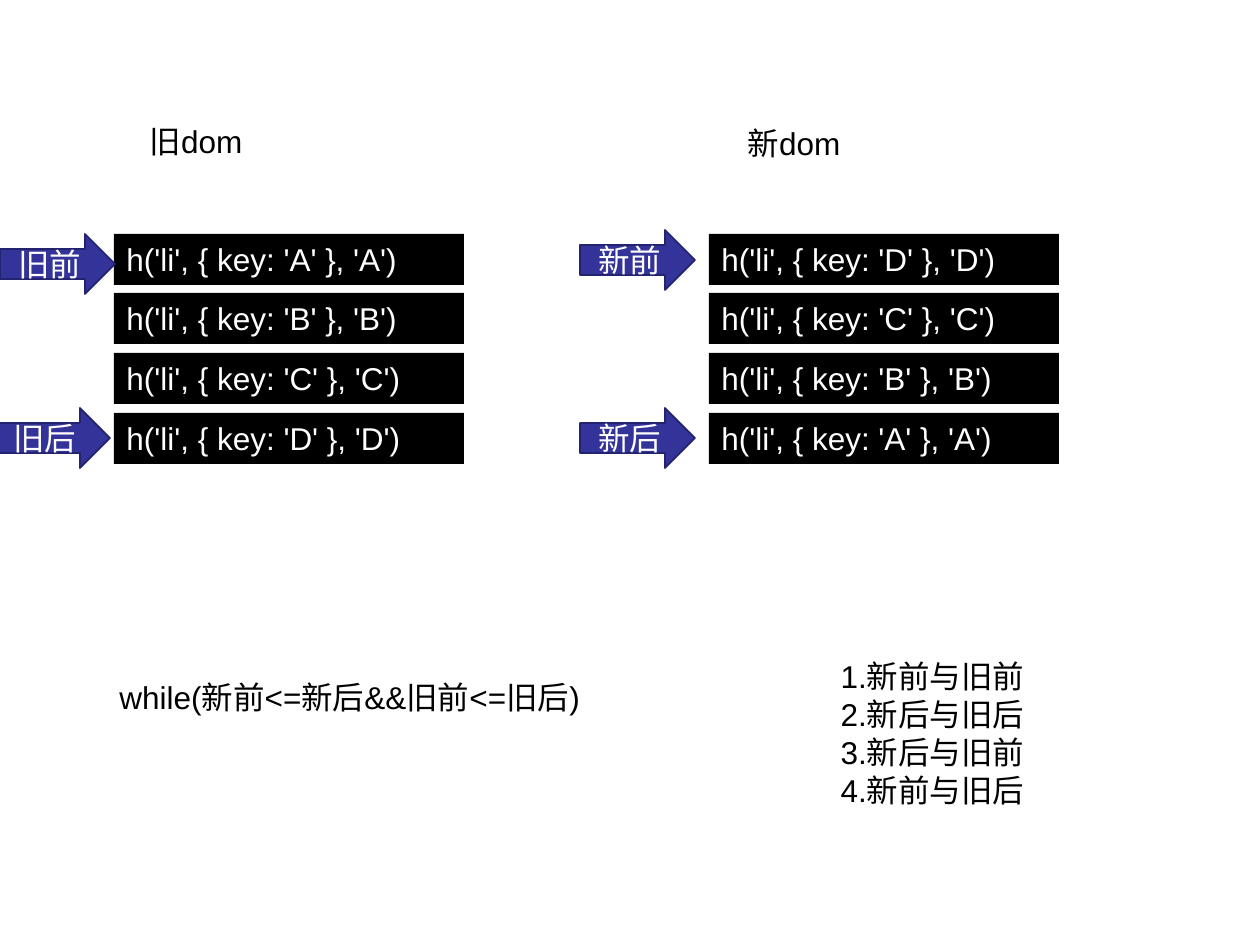
from dataclasses import dataclass

from pptx import Presentation
from pptx.dml.color import RGBColor as Color
from pptx.enum.shapes import MSO_SHAPE as Preset
from pptx.enum.text import MSO_ANCHOR as Anchor, MSO_AUTO_SIZE as Fit, PP_ALIGN as Align
from pptx.oxml.ns import qn
from pptx.util import Emu, Pt

SCALE = 914400 // 126


@dataclass(frozen=True)
class Theme:
    """Colours and type of the slide."""
    font: str = "Arial"
    size: Pt = Pt(18)
    line: Pt = Pt(1)
    ink: Color = Color(0, 0, 0)
    paper: Color = Color(255, 255, 255)
    arrow: Color = Color(0x33, 0x33, 0x99)
    edge: Color = Color(0x23, 0x23, 0x6F)


THEME = Theme()


def to_emu(*pixels):
    """Turn pixel lengths into EMU."""
    return [Emu(value * SCALE) for value in pixels]


def write(shape, lines, color, align=Align.LEFT, anchor=Anchor.TOP):
    """Fill a shape with plain unbulleted paragraphs."""
    frame = shape.text_frame
    frame.text = "\n".join(lines)
    frame.word_wrap = True
    frame.auto_size = Fit.NONE
    frame.vertical_anchor = anchor
    for para in frame.paragraphs:
        para.alignment = align
        para.space_before = Pt(0)
        para.font.name = THEME.font
        para.font.size = THEME.size
        para.font.bold = False
        para.font.color.rgb = color


def fill_placeholder(holder, box, lines):
    """Move a placeholder to its box and write lines without bullets."""
    holder.left, holder.top, holder.width, holder.height = to_emu(*box)
    write(holder, lines, THEME.ink)
    for para in holder.text_frame.paragraphs:
        props = para._p.get_or_add_pPr()
        props.set("marL", "0")
        props.set("indent", "0")
        props.insert_element_before(
            props.makeelement(qn("a:buNone"), {}), "a:tabLst", "a:defRPr", "a:extLst")


def add_block(page, preset, box, text, fill, edge=None, **layout):
    """Add one filled shape with white text."""
    block = page.shapes.add_shape(preset, *to_emu(*box))
    block.shadow.inherit = False
    block.fill.solid()
    block.fill.fore_color.rgb = fill
    if edge is None:
        block.line.fill.background()
    else:
        block.line.color.rgb = edge
        block.line.width = THEME.line
    write(block, [text], THEME.paper, **layout)


def add_dom(page, box, heading, title, keys, pointers):
    """Place a heading, node rows and pointer arrows relative to the box of rows."""
    left, top, width, height = box
    row = 51
    dx, dy, title_width = title
    fill_placeholder(heading[0], (left + dx, top + dy, title_width, 50), [heading[1]])
    for index, key in enumerate(keys):
        offset = (height - row) * index // (len(keys) - 1)
        add_block(page, Preset.RECTANGLE, (left, top + offset, width, row),
                  f"h('li', {{ key: '{key}' }}, '{key}')", THEME.ink)
    for name, dx, dy in pointers:
        add_block(page, Preset.RIGHT_ARROW, (left + dx, top + dy, 115, 60), name,
                  THEME.arrow, THEME.edge, align=Align.CENTER, anchor=Anchor.MIDDLE)


def add_condition(page, box, text):
    """Add the loop condition."""
    write(page.shapes.add_textbox(*to_emu(*box)), [text], THEME.ink)


def build():
    """Build and save the slide."""
    deck = Presentation()
    deck.slide_width, deck.slide_height = to_emu(1260, 945)
    page = deck.slides.add_slide(deck.slide_layouts.get_by_name("Comparison"))
    holders = {holder.placeholder_format.idx: holder for holder in page.placeholders}
    add_dom(page, (114, 234, 350, 230), (holders[1], "旧dom"), (23, -118, 224), "ABCD",
            [("旧前", -114, 0), ("旧后", -119, 174)])
    add_dom(page, (709, 234, 350, 230), (holders[3], "新dom"), (26, -116, 252), "DCBA",
            [("新前", -129, -4), ("新后", -129, 174)])
    fill_placeholder(holders[4], (828, 651, 304, 202),
                     ["1.新前与旧前", "2.新后与旧后", "3.新后与旧前", "4.新前与旧后"])
    add_condition(page, (107, 672, 508, 88), "while(新前<=新后&&旧前<=旧后)")
    for index in (0, 2):
        element = holders[index]._element
        element.getparent().remove(element)
    deck.save("out.pptx")


build()
